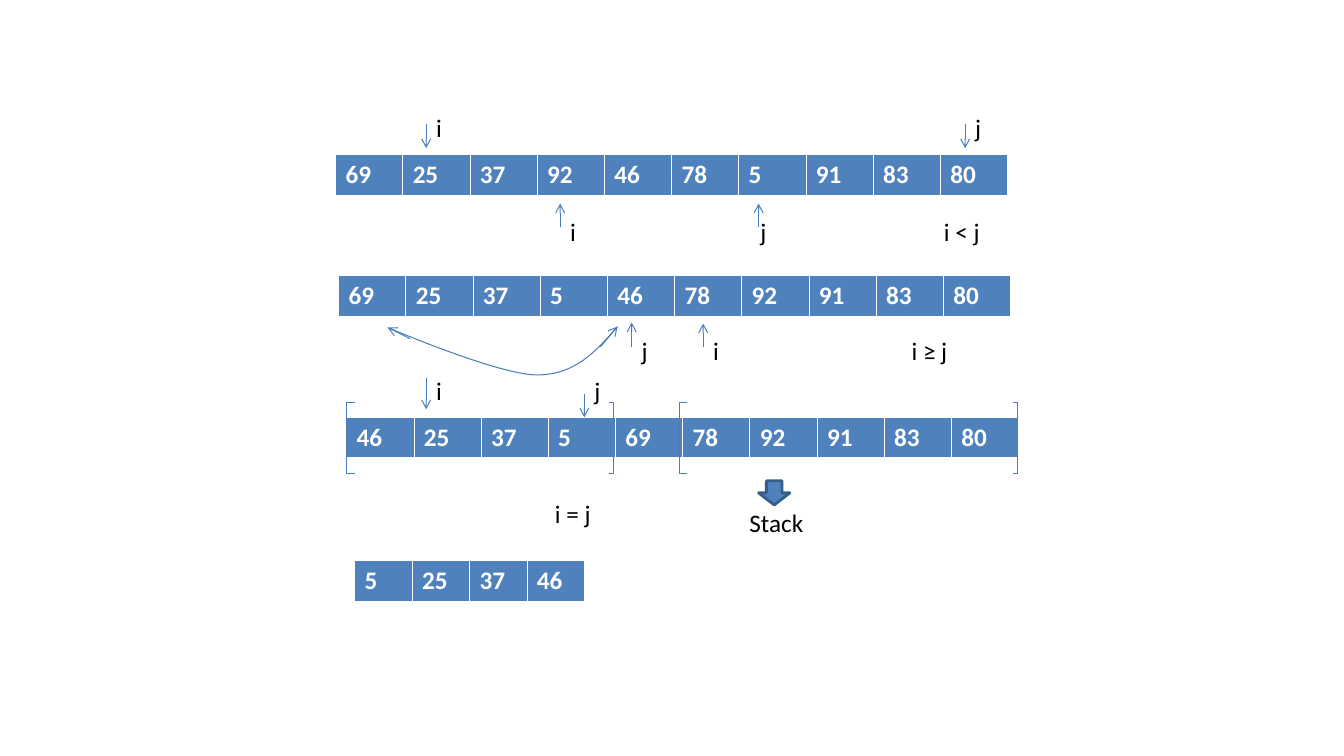
"""Quicksort partition steps drawn as rows of numbers with i and j pointers."""
import lxml.etree
import pptx
import pptx.dml.color
import pptx.enum.shapes
import pptx.enum.text
import pptx.oxml
import pptx.oxml.ns
import pptx.util

PX = 9144
BLUE = pptx.dml.color.RGBColor(0x4F, 0x81, 0xBD)
LINE_BLUE = pptx.dml.color.RGBColor(0x4A, 0x7E, 0xBB)
DARK_BLUE = pptx.dml.color.RGBColor(0x38, 0x5D, 0x8A)
WHITE = pptx.dml.color.RGBColor(0xFF, 0xFF, 0xFF)
BLACK = pptx.dml.color.RGBColor(0, 0, 0)
SHAPES = pptx.enum.shapes.MSO_SHAPE
BASE_FONT = {"name": "Calibri", "size": pptx.util.Pt(18)}
LABEL_FONT = {**BASE_FONT, "bold": False}
NUMBER_FONT = {**BASE_FONT, "bold": True}
CELL_BORDERS = {"lnL": 0.45, "lnR": 0.45, "lnT": 0.45, "lnB": 1.47}


class Board:
    """Holds the style and the current slide."""

    def __init__(self, slide):
        """Keep the slide to draw on."""
        self.shapes = slide.shapes

    def style_text(self, paragraph, text, font_format, color):
        """Fill a paragraph with formatted text."""
        paragraph.text = text
        for key, value in font_format.items():
            setattr(paragraph.font, key, value)
        paragraph.font.color.rgb = color

    def outline(self, part, color=LINE_BLUE, width=0.75):
        """Set the line of a shape or connector."""
        part.line.color.rgb = color
        part.line.width = pptx.util.Pt(width)

    def number_row(self, left, top, width, height, numbers):
        """Draw one row of numbers as a table."""
        row = self.shapes.add_table(
            1, len(numbers), left * PX, top * PX, width * PX, height * PX).table
        for cell, number in zip(row.rows[0].cells, numbers):
            self.style_text(cell.text_frame.paragraphs[0], str(number), NUMBER_FONT, WHITE)
            cell.fill.solid()
            cell.fill.fore_color.rgb = BLUE
            properties = cell._tc.get_or_add_tcPr()
            for position, (side, points) in enumerate(CELL_BORDERS.items()):
                properties.insert(position, pptx.oxml.parse_xml(
                    f'<a:{side} {pptx.oxml.ns.nsdecls("a")} w="{pptx.util.Pt(points)}">'
                    f'<a:solidFill><a:srgbClr val="{WHITE}"/></a:solidFill></a:{side}>'))

    def arrow(self, x1, y1, x2, y2):
        """Draw a thin line with an open arrowhead at its end."""
        line = self.shapes.add_connector(
            pptx.enum.shapes.MSO_CONNECTOR.STRAIGHT, x1 * PX, y1 * PX, x2 * PX, y2 * PX)
        self.outline(line)
        lxml.etree.SubElement(
            line.line._get_or_add_ln(), pptx.oxml.ns.qn("a:tailEnd"), type="arrow")
        lxml.etree.SubElement(line._element.spPr, pptx.oxml.ns.qn("a:effectLst"))

    def label(self, left, top, width, text):
        """Place a line of black text."""
        frame = self.shapes.add_textbox(
            left * PX, top * PX, width * PX, 40 * PX).text_frame
        frame.word_wrap = True
        frame.auto_size = pptx.enum.text.MSO_AUTO_SIZE.SHAPE_TO_FIT_TEXT
        self.style_text(frame.paragraphs[0], text, LABEL_FONT, BLACK)

    def bracket(self, kind, left, width):
        """Draw a square bracket around part of the third row."""
        bracket = self.shapes.add_shape(kind, left * PX, 399 * PX, width * PX, 71 * PX)
        bracket.adjustments[0] = 0
        bracket.shadow.inherit = False
        bracket.fill.background()
        self.outline(bracket)

    def curve(self, *beziers):
        """Draw joined cubic curves, each given by its four points."""
        steps = 24
        points = []
        for bezier in beziers:
            for step in range(steps + 1):
                t = step / steps
                weights = ((1 - t) ** 3, 3 * t * (1 - t) ** 2, 3 * t * t * (1 - t), t ** 3)
                points.append(tuple(
                    round(PX * sum(w * value for w, value in zip(weights, axis)))
                    for axis in zip(*bezier)))
        builder = self.shapes.build_freeform(*points[0])
        builder.add_line_segments(points[1:], close=False)
        swap = builder.convert_to_shape()
        swap.shadow.inherit = False
        swap.fill.background()
        self.outline(swap)

    def block_arrow(self, left, top, width, height):
        """Draw a filled arrow pointing down."""
        block = self.shapes.add_shape(
            SHAPES.DOWN_ARROW, left * PX, top * PX, width * PX, height * PX)
        block.shadow.inherit = False
        block.fill.solid()
        block.fill.fore_color.rgb = BLUE
        self.outline(block, DARK_BLUE, 2)


def main():
    """Build the slide and save it."""
    deck = pptx.Presentation()
    deck.slide_width, deck.slide_height = 1334 * PX, 750 * PX
    board = Board(deck.slides.add_slide(deck.slide_layouts[6]))

    for left, top, width, height, numbers in (
        (333, 153, 667, 41, (69, 25, 37, 92, 46, 78, 5, 91, 83, 80)),
        (336, 273, 667, 41, (69, 25, 37, 5, 46, 78, 92, 91, 83, 80)),
        (344, 414, 667, 40, (46, 25, 37, 5, 69, 78, 92, 91, 83, 80)),
        (352, 556, 228, 41, (5, 25, 37, 46)),
    ):
        board.number_row(left, top, width, height, numbers)

    for name, x, start, end, label_left, label_top in (
        ("i", 423, 123, 147, 423, 107),
        ("j", 958, 123, 147, 958, 107),
        ("i", 556, 225, 202, 556, 210),
        ("j", 753, 225, 202, 745, 210),
        ("j", 627, 344, 320, 627, 328),
        ("i", 698, 344, 321, 698, 328),
        ("i", 423, 375, 406, 423, 367),
        ("j", 580, 391, 414, 580, 367),
    ):
        board.arrow(x, start, x, end)
        board.label(label_left, label_top, 31, name)

    for left, top, width, text in (
        (927, 210, 71, "i < j"),
        (895, 328, 110, "i ≥ j"),
        (541, 489, 71, "i = j"),
        (734, 498, 142, "Stack"),
    ):
        board.label(left, top, width, text)

    board.curve(
        ((613, 324), (592, 348), (571, 372), (533, 372)),
        ((533, 372), (495, 372), (385, 325), (385, 325)))
    board.arrow(596, 344, 613, 324)
    board.arrow(407, 336, 385, 325)

    for left, right in ((344, 604), (674, 1005)):
        board.bracket(SHAPES.LEFT_BRACKET, left, 8)
        board.bracket(SHAPES.RIGHT_BRACKET, right, 5)
    board.block_arrow(753, 477, 31, 24)

    deck.save("out.pptx")


if __name__ == "__main__":
    main()
